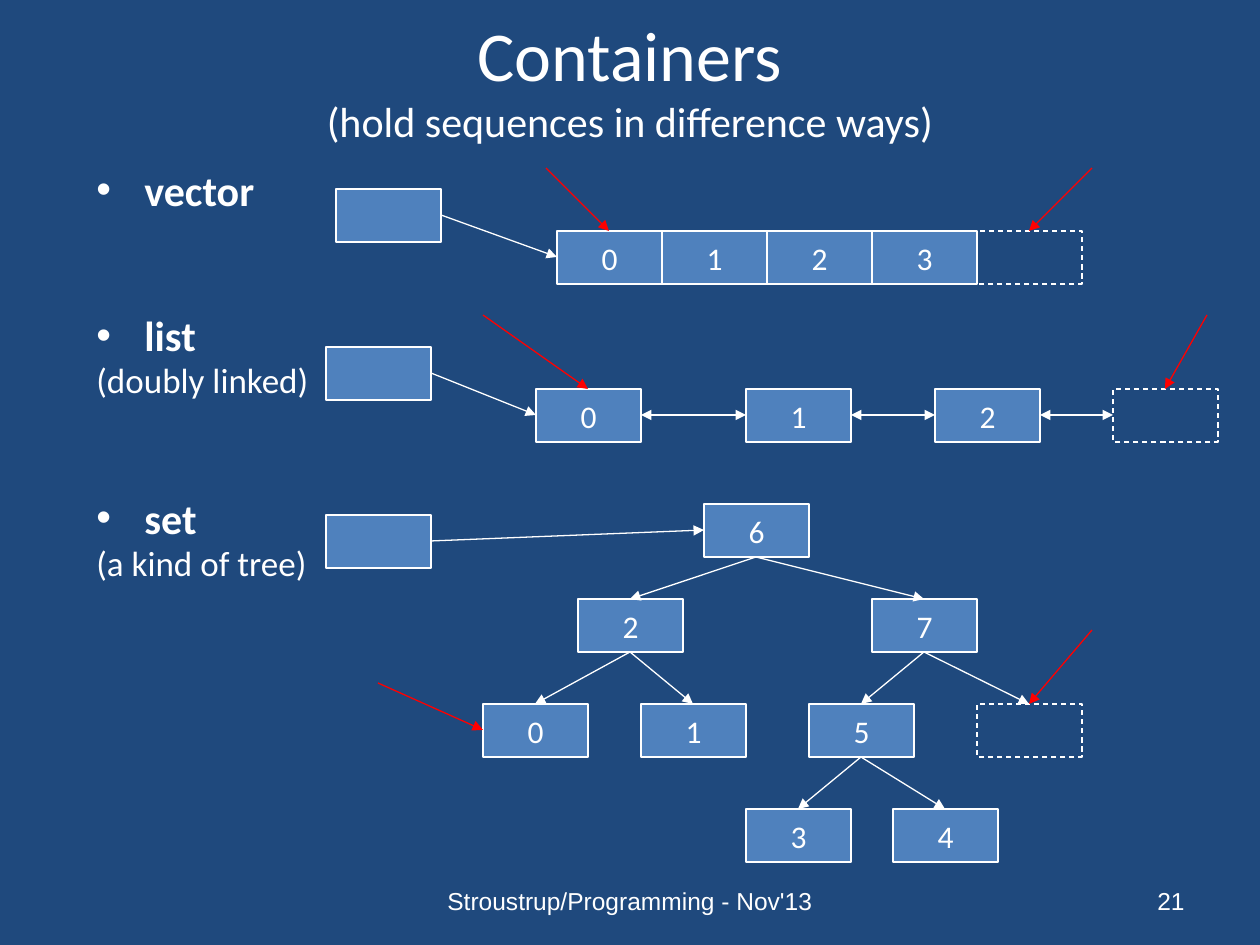
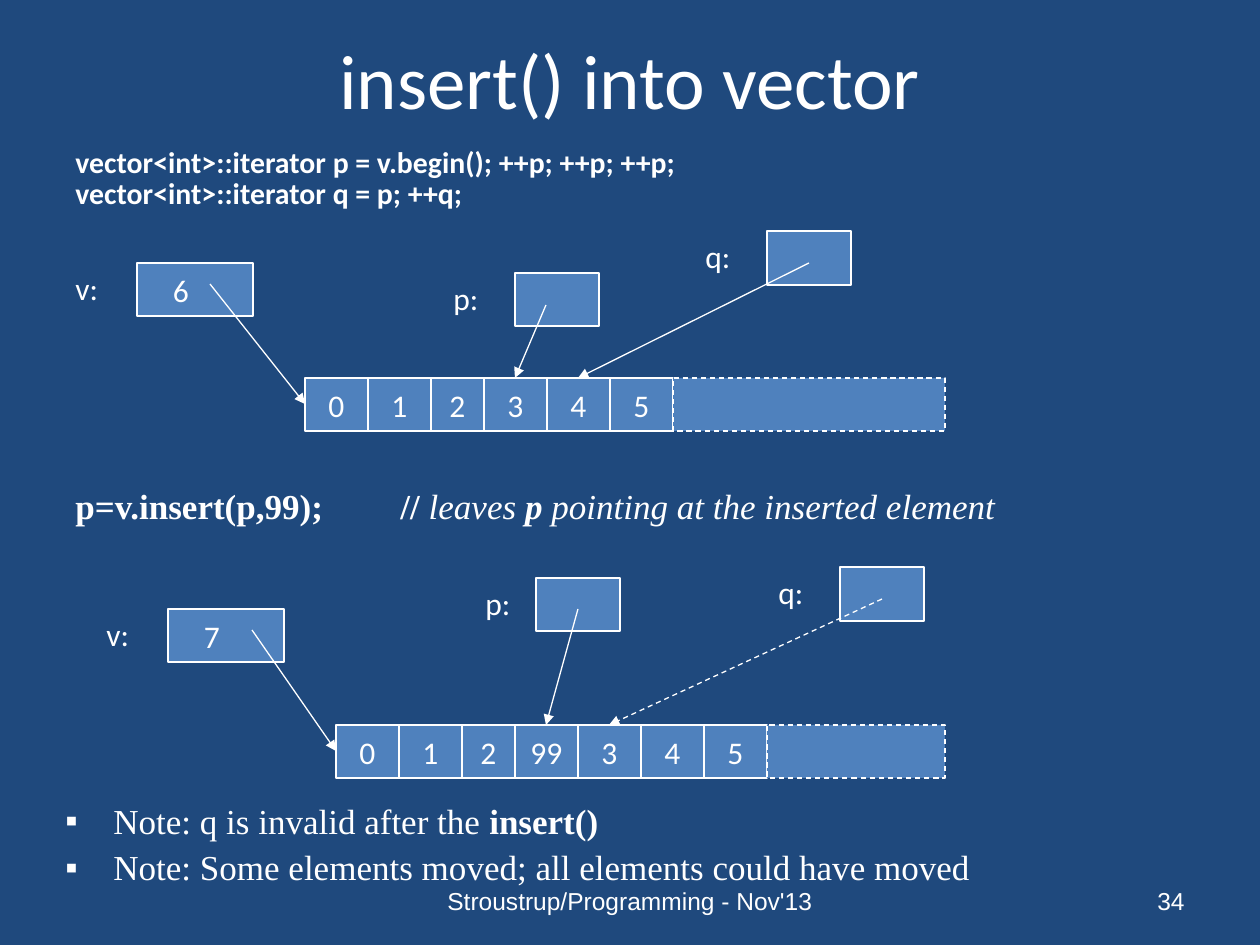
from dataclasses import dataclass

from lxml import etree
from pptx import Presentation
from pptx.dml.color import RGBColor
from pptx.enum.dml import MSO_LINE
from pptx.enum.shapes import MSO_CONNECTOR, MSO_SHAPE
from pptx.enum.text import MSO_ANCHOR, PP_ALIGN
from pptx.oxml.ns import qn
from pptx.slide import Slide
from pptx.text.text import TextFrame
from pptx.util import Pt

PX = 914400 / 126
LEFT, CENTER, RIGHT = PP_ALIGN.LEFT, PP_ALIGN.CENTER, PP_ALIGN.RIGHT
TOP, MIDDLE = MSO_ANCHOR.TOP, MSO_ANCHOR.MIDDLE
DASH, RECT, LINE = MSO_LINE.DASH, MSO_SHAPE.RECTANGLE, MSO_CONNECTOR.STRAIGHT
COLORS = {"back": "1F497D", "cell": "4F81BD", "ink": "FFFFFF", "mark": "FF0000"}
SANS, SERIF, PLAIN = "Calibri", "Times New Roman", "Arial"
WIDE, HIGH = 105, 53
SLOT, SLIM = 63, 53
INDENT = 48

Point = tuple[int, int]


@dataclass
class Box:
    """A rectangle in pixels, with the points where arrows meet it."""
    left: int
    top: int
    width: int = WIDE
    height: int = HIGH

    @property
    def north(self) -> Point:
        return self.left + self.width // 2, self.top

    @property
    def south(self) -> Point:
        return self.left + self.width // 2, self.top + self.height

    @property
    def west(self) -> Point:
        return self.left, self.top + self.height // 2

    @property
    def east(self) -> Point:
        return self.left + self.width, self.top + self.height // 2


@dataclass
class Handle:
    """A named variable whose arrow starts at an offset inside its box."""
    name: str
    box: Box
    start: Point
    gap: int = 74
    value: str = ""
    stale: bool = False


@dataclass
class Scene:
    """One state of the vector: its handles and its row of values."""
    handles: list[Handle]
    left: int
    top: int
    values: list[str]


TITLE = Box(63, 0, 1134, 158)
FOOTER = Box(430, 876, 400, 50)
NUMBER = Box(903, 876, 294, 50)


def px(length: int) -> int:
    """Turn pixels into EMU."""
    return round(length * PX)


def color(name: str) -> RGBColor:
    """Look up a colour by name."""
    return RGBColor.from_string(COLORS[name])


def write(frame: TextFrame, text: str, *, size: float = 18, font: str = SANS,
          bold: bool = False, italic: bool = False, align=LEFT,
          spacing: float = 1, before: float = 0, bullet: str = "",
          tab: int = 0, join: bool = False) -> None:
    """Add a paragraph, or join a run to the last one."""
    para = frame.paragraphs[-1]
    if not join:
        if para.runs:
            para = frame.add_paragraph()
        para.alignment = align
        para.line_spacing = spacing
        para.space_before = Pt(before)
        props = para._p.get_or_add_pPr()
        if bullet:
            props.set("marL", str(px(INDENT)))
            props.set("indent", str(-px(INDENT)))
            etree.SubElement(props, qn("a:buFont"), typeface=PLAIN)
            etree.SubElement(props, qn("a:buChar"), char=bullet)
        if tab:
            stops = etree.SubElement(props, qn("a:tabLst"))
            etree.SubElement(stops, qn("a:tab"), pos=str(px(tab)), algn="l")
    run = para.add_run()
    run.text = text
    run.font.size, run.font.name = Pt(size), font
    run.font.bold, run.font.italic = bold, italic
    run.font.color.rgb = color("ink")


def area(slide: Slide, box: Box, anchor=TOP) -> TextFrame:
    """Add a wrapping text box and return its frame."""
    frame = slide.shapes.add_textbox(
        px(box.left), px(box.top), px(box.width), px(box.height)).text_frame
    frame.word_wrap = True
    frame.vertical_anchor = anchor
    return frame


def cell(slide: Slide, box: Box, text: str = "", *, filled: bool = True,
         dashed: bool = False, inset: int = 0) -> Box:
    """Draw a memory cell; a right inset moves its text to the left."""
    shape = slide.shapes.add_shape(
        RECT, px(box.left), px(box.top), px(box.width), px(box.height))
    shape.shadow.inherit = False
    if filled:
        shape.fill.solid()
        shape.fill.fore_color.rgb = color("cell")
    else:
        shape.fill.background()
    shape.line.color.rgb = color("ink")
    shape.line.width = Pt(0.75)
    if dashed:
        shape.line.dash_style = DASH
    if text:
        frame = shape.text_frame
        frame.margin_left = frame.margin_top = frame.margin_bottom = 0
        frame.margin_right = px(inset)
        frame.vertical_anchor = MIDDLE
        write(frame, text, align=CENTER)
    return box


def arrow(slide: Slide, start: Point, end: Point, *, ink: str = "ink",
          both: bool = False, dashed: bool = False) -> None:
    """Draw an arrow between two points."""
    link = slide.shapes.add_connector(LINE, *map(px, start + end))
    link.line.color.rgb = color(ink)
    link.line.width = Pt(0.75)
    if dashed:
        link.line.dash_style = DASH
    line = link.line._get_or_add_ln()
    for tip in ("a:headEnd", "a:tailEnd") if both else ("a:tailEnd",):
        etree.SubElement(line, qn(tip), type="triangle")
    etree.SubElement(link._element.spPr, qn("a:effectLst"))


def page(deck, number: int, *titles: tuple[str, int]) -> Slide:
    """Start a slide with background, title lines, footer and number."""
    slide = deck.slides.add_slide(deck.slide_layouts[6])
    slide.background.fill.solid()
    slide.background.fill.fore_color.rgb = color("back")
    frame = area(slide, TITLE, MIDDLE)
    for text, size in titles:
        write(frame, text, size=size, align=CENTER)
    write(area(slide, FOOTER, MIDDLE), "Stroustrup/Programming - Nov'13",
          size=14, font=PLAIN, align=CENTER)
    write(area(slide, NUMBER, MIDDLE), str(number),
          size=14, font=PLAIN, align=RIGHT)
    return slide


def kinds(deck) -> None:
    """Build the slide on vector, list and set."""
    slide = page(deck, 21, ("Containers", 40),
                 ("(hold sequences in difference ways)", 24))
    frame = area(slide, Box(84, 168, 273, 624))
    for name, note, before in (("vector", "", 0),
                               ("list", "(doubly linked)", 60),
                               ("set", "(a kind of tree)", 58)):
        write(frame, name, size=24, bold=True, spacing=0.8,
              before=before, bullet="•")
        if note:
            write(frame, note, size=20, spacing=0.8, before=4)

    def row(spots: list[Point], texts: str) -> list[Box]:
        """Draw filled cells, then the dashed end cell."""
        boxes = [cell(slide, Box(*spot), text)
                 for spot, text in zip(spots, texts)]
        end = cell(slide, Box(*spots[-1]), filled=False, dashed=True)
        return boxes + [end]

    array = row([(557 + i * WIDE, 231) for i in range(5)], "0123")
    chain = row([(x, 389) for x in (536, 746, 935, 1113)], "012")
    tree = row([(704, 504), (578, 599), (872, 599), (483, 704), (641, 704),
                (809, 704), (746, 809), (893, 809), (977, 704)], "62701534")
    for spot, first in (((336, 189), array[0]), ((326, 347), chain[0]),
                        ((326, 515), tree[0])):
        arrow(slide, cell(slide, Box(*spot)).east, first.west)
    for one, two in zip(chain, chain[1:]):
        arrow(slide, one.east, two.west, both=True)
    for up, down in ((0, 1), (0, 2), (1, 3), (1, 4), (2, 5), (2, 8),
                     (5, 6), (5, 7)):
        arrow(slide, tree[up].south, tree[down].north)
    for start, end in (((546, 168), array[0].north),
                       ((1092, 168), array[-1].north),
                       ((483, 315), chain[0].north),
                       ((1207, 315), chain[-1].north),
                       ((378, 683), tree[3].west),
                       ((1092, 630), tree[-1].north)):
        arrow(slide, start, end, ink="mark")


def draw(slide: Slide, scene: Scene) -> None:
    """Draw a vector's cells, spare room and the handles that point at it."""
    left, slots = scene.left, []
    for text in scene.values:
        width = SLIM if text == "2" else SLOT
        slots.append(cell(slide, Box(left, scene.top, width), text))
        left += width
    cell(slide, Box(left, scene.top, 945 - left), dashed=True)
    ends = (slots[0].west, slots[3].north, slots[4].north)
    for item, end in zip(scene.handles, ends):
        box = cell(slide, item.box, item.value, inset=28)
        label = Box(box.left - item.gap, box.top, item.gap, 50)
        write(area(slide, label), item.name)
        start = box.left + item.start[0], box.top + item.start[1]
        arrow(slide, start, end, dashed=item.stale)


def insert(deck) -> None:
    """Build the slide on inserting into a vector."""
    slide = page(deck, 34, ("insert() into vector", 44))
    code = area(slide, Box(63, 147, 1134, 73))
    for text in ("vector<int>::iterator p = v.begin(); ++p; ++p; ++p;",
                 "vector<int>::iterator q = p; ++q;"):
        write(code, text, size=17, bold=True, spacing=0.7, before=3.4)
    draw(slide, Scene([
        Handle("v:", Box(137, 263, 116), (73, 21), value="6"),
        Handle("p:", Box(515, 273, 84), (31, 32)),
        Handle("q:", Box(767, 231, 84, 54), (42, 32)),
    ], 305, 378, ["0", "1", "2", "3", "4", "5"]))
    call = area(slide, Box(63, 483, 1050, 73))
    write(call, "p=v.insert(p,99);\t// ", size=20, font=SERIF, bold=True,
          spacing=0.9, tab=325)
    for text, bold in (("leaves", False), (" p ", True),
                       ("pointing at the inserted element", False)):
        write(call, text, size=20, font=SERIF, bold=bold, italic=True, join=True)
    draw(slide, Scene([
        Handle("v:", Box(168, 609, 116), (84, 21), value="7"),
        Handle("p:", Box(536, 578, 84), (42, 31), gap=63),
        Handle("q:", Box(840, 567, 84, 54), (42, 32), stale=True),
    ], 336, 725, ["0", "1", "2", "99", "3", "4", "5"]))
    notes = area(slide, Box(53, 798, 1113, 126))
    style = {"size": 20, "font": SERIF}
    write(notes, "Note: q is invalid after the ", spacing=0.9, bullet="▪", **style)
    write(notes, "insert()", bold=True, join=True, **style)
    write(notes, "Note: Some elements moved; all elements could have moved",
          spacing=0.9, before=5, bullet="▪", **style)


def main() -> None:
    """Build and save the deck."""
    deck = Presentation()
    deck.slide_width, deck.slide_height = px(1260), px(945)
    kinds(deck)
    insert(deck)
    deck.save("out.pptx")


main()
